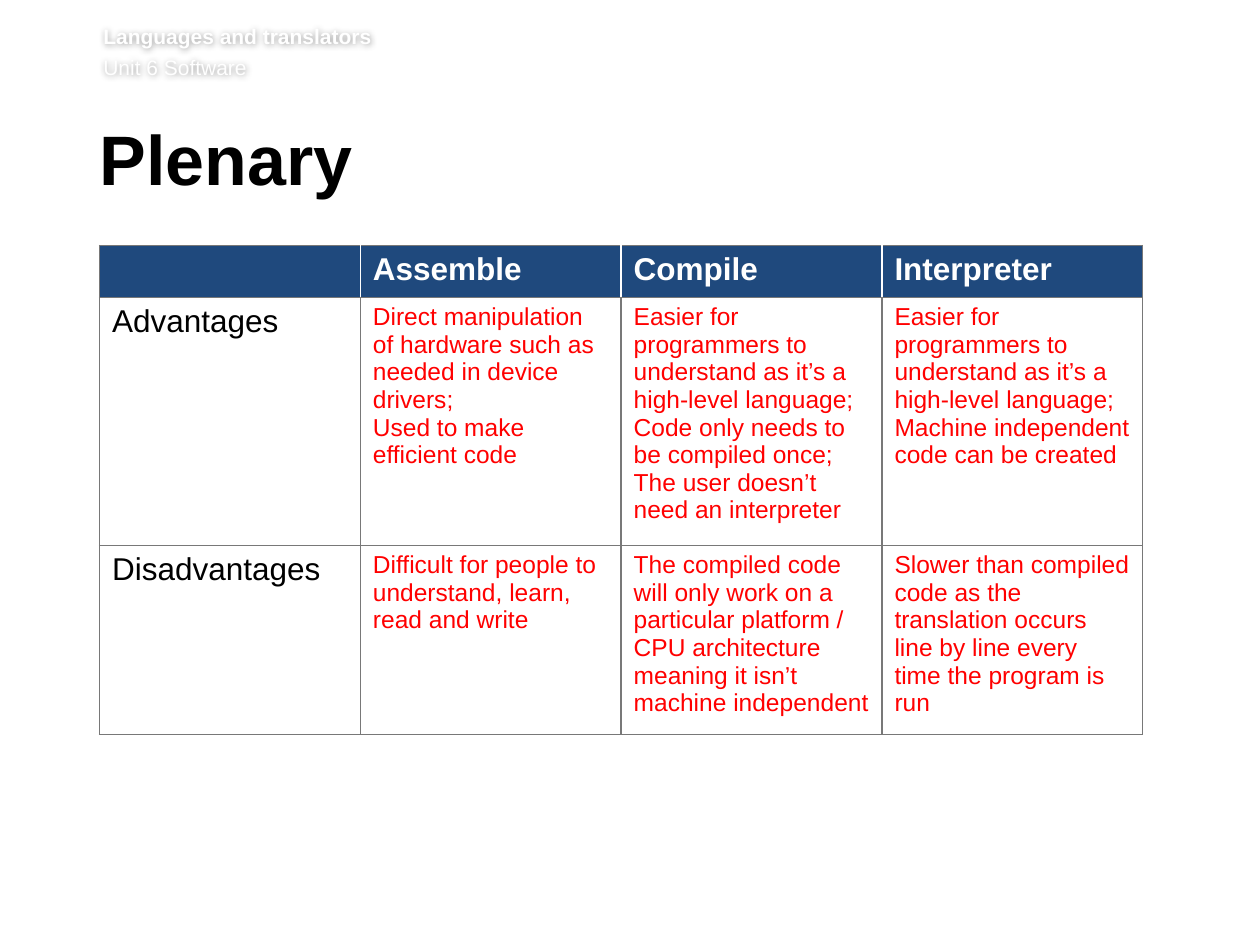
from lxml import etree
from pptx import Presentation
from pptx.dml.color import RGBColor
from pptx.oxml import parse_xml
from pptx.oxml.ns import nsdecls, qn
from pptx.util import Inches, Pt

WHITE = RGBColor(0xFF, 0xFF, 0xFF)
BLACK = RGBColor(0, 0, 0)
RED = RGBColor(0xFF, 0, 0)
NAVY = RGBColor(0x1F, 0x49, 0x7D)
GREY = RGBColor(0x78, 0x78, 0x78)

COLUMN_WIDTH = 2.07
ROW_HEIGHTS = [0.41, 1.85, 1.41]
HEADINGS = ["", "Assemble", "Compile", "Interpreter"]
EASIER = "Easier for programmers to understand as it’s a high-level language;"
ANSWERS = {
    "Advantages": [
        ["Direct manipulation of hardware such as needed in device drivers;",
         "Used to make efficient code"],
        [EASIER, "Code only needs to be compiled once;",
         "The user doesn’t need an interpreter"],
        [EASIER, "Machine independent code can be created"],
    ],
    "Disadvantages": [
        ["Difficult for people to understand, learn, read and write"],
        ["The compiled code will only work on a particular platform / "
         "CPU architecture meaning it isn’t machine independent"],
        ["Slower than compiled code as the translation occurs line by line "
         "every time the program is run"],
    ],
}


class SlideBuilder:
    """Holds the slide and its text style."""

    def __init__(self, slide, font_name="Arial"):
        self.slide = slide
        self.font_name = font_name

    def add_paragraph(self, frame, text, size, color, bold=False):
        first = frame.paragraphs[0]
        paragraph = frame.add_paragraph() if first.runs else first
        run = paragraph.add_run()
        run.text = text
        font = run.font
        font.name, font.size, font.bold = self.font_name, Pt(size), bold
        font.color.rgb = color
        return paragraph

    def add_text_box(self, left, top, width, height, insets):
        shape = self.slide.shapes.add_textbox(
            Inches(left), Inches(top), Inches(width), Inches(height))
        frame = shape.text_frame
        frame.word_wrap = True
        (frame.margin_left, frame.margin_top,
         frame.margin_right, frame.margin_bottom) = map(Inches, insets)
        return shape

    def add_soft_shadow(self, shape):
        shape._element.spPr.append(parse_xml(
            f'<a:effectLst {nsdecls("a")}>'
            '<a:outerShdw blurRad="50800" dist="0" dir="0">'
            '<a:srgbClr val="000000"><a:alpha val="40000"/></a:srgbClr>'
            '</a:outerShdw></a:effectLst>'))

    def add_table(self, left, top, column_count):
        table = self.slide.shapes.add_table(
            len(ROW_HEIGHTS), column_count, Inches(left), Inches(top),
            Inches(COLUMN_WIDTH * column_count),
            Inches(sum(ROW_HEIGHTS))).table
        table.first_row = table.horz_banding = False
        for column in table.columns:
            column.width = Inches(COLUMN_WIDTH)
        for row, height in zip(table.rows, ROW_HEIGHTS):
            row.height = Inches(height)
        return table

    def style_cell(self, cell, fill=None, left=GREY, right=GREY):
        properties = cell._tc.get_or_add_tcPr()
        borders = {"a:lnL": left, "a:lnR": right, "a:lnT": GREY, "a:lnB": GREY}
        for tag, color in borders.items():
            line = etree.SubElement(properties, qn(tag), w=str(Pt(1)))
            line_fill = etree.SubElement(line, qn("a:solidFill"))
            etree.SubElement(line_fill, qn("a:srgbClr"), val=str(color))
        if fill is None:
            cell.fill.background()
        else:
            cell.fill.solid()
            cell.fill.fore_color.rgb = fill


def main():
    presentation = Presentation()
    presentation.slide_width, presentation.slide_height = Inches(10), Inches(7.5)
    slide = presentation.slides.add_slide(presentation.slide_layouts[6])
    builder = SlideBuilder(slide)

    # Unit header
    header = builder.add_text_box(0.82, 0.17, 8.82, 0.49, (0, 0.02, 0, 0.05))
    builder.add_soft_shadow(header)
    builder.add_paragraph(header.text_frame, "Languages and translators",
                          12, WHITE, bold=True)
    unit = builder.add_paragraph(header.text_frame, "Unit 6 Software", 12, WHITE)
    unit.space_before = Pt(2.9)

    # Title
    title = builder.add_text_box(0.79, 0.99, 8.55, 0.73, (0, 0.05, 0.1, 0.05))
    heading = builder.add_paragraph(title.text_frame, "Plenary", 40, BLACK, bold=True)
    heading.line_spacing = Pt(39)
    heading.space_after = Pt(15)

    # Table heading row, with white lines between its cells
    table = builder.add_table(0.79, 1.95, len(HEADINGS))
    last = len(HEADINGS) - 1
    for index, text in enumerate(HEADINGS):
        cell = table.cell(0, index)
        builder.style_cell(cell, NAVY,
                           left=WHITE if index > 0 else GREY,
                           right=WHITE if index < last else GREY)
        if text:
            builder.add_paragraph(cell.text_frame, text, 18, WHITE, bold=True)

    # Table answers
    for row, (label, answers) in enumerate(ANSWERS.items(), start=1):
        for column, lines in enumerate([[label]] + answers):
            cell = table.cell(row, column)
            builder.style_cell(cell)
            size, color = (14, RED) if column else (18, BLACK)
            for text in lines:
                builder.add_paragraph(cell.text_frame, text, size, color)

    presentation.save("out.pptx")


if __name__ == "__main__":
    main()
